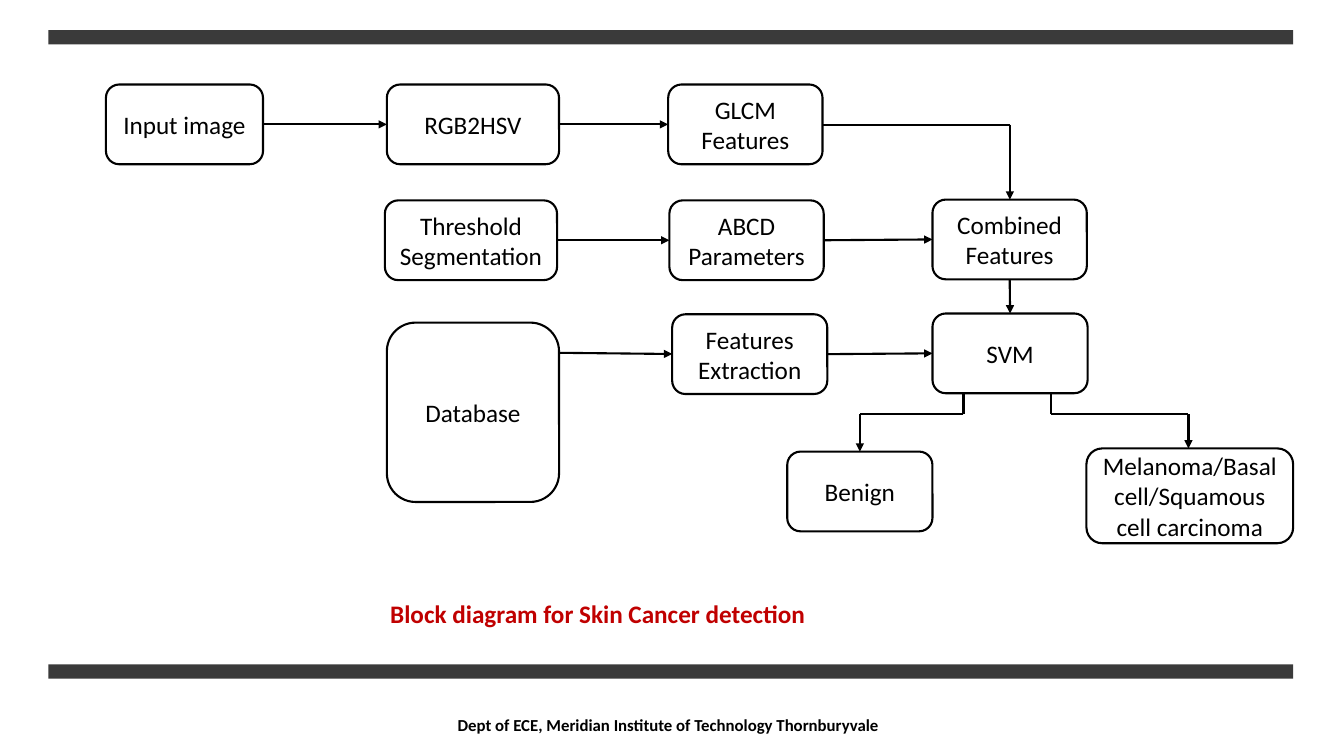
from lxml import etree
from pptx import Presentation
from pptx.dml.color import RGBColor
from pptx.enum.shapes import MSO_CONNECTOR, MSO_SHAPE
from pptx.enum.text import MSO_ANCHOR, PP_ALIGN
from pptx.oxml.ns import qn
from pptx.util import Cm, Pt

RECT, ROUND = MSO_SHAPE.RECTANGLE, MSO_SHAPE.ROUNDED_RECTANGLE
LINE = MSO_CONNECTOR.STRAIGHT
MIDDLE, TOP = MSO_ANCHOR.MIDDLE, MSO_ANCHOR.TOP
LEFT, CENTER = PP_ALIGN.LEFT, PP_ALIGN.CENTER
BLACK = RGBColor(0x00, 0x00, 0x00)
WHITE = RGBColor(0xFF, 0xFF, 0xFF)
GRAY = RGBColor(0x3A, 0x3A, 0x3A)
RED = RGBColor(0xC0, 0x00, 0x00)

# Connection sites of a box
UP, WEST, DOWN, EAST = range(4)


class Deck:
    font = "Calibri"
    size = Pt(18)
    width = Pt(1.5)

    def __init__(self):
        self.show = Presentation()
        self.show.slide_width, self.show.slide_height = Cm(33.87), Cm(19.05)
        self.slide = self.show.slides.add_slide(self.show.slide_layouts[5])
        self.shapes = self.slide.shapes

    def label(self, shape, lines, color=BLACK, size=None, bold=False,
              align=CENTER, anchor=MIDDLE):
        frame = shape.text_frame
        frame.word_wrap = True
        frame.vertical_anchor = anchor
        for i, line in enumerate(lines):
            para = frame.add_paragraph() if i else frame.paragraphs[0]
            para.alignment = align
            run = para.add_run()
            run.text = line
            run.font.name = self.font
            run.font.size = size or self.size
            run.font.bold = bold
            run.font.color.rgb = color

    def title(self, text, x, y, w, h):
        shape = self.shapes.title
        shape.left, shape.top, shape.width, shape.height = map(Cm, (x, y, w, h))
        self.label(shape, [text], RED, bold=True, align=LEFT, anchor=TOP)

    def note(self, text, x, y, w, h):
        shape = self.shapes.add_textbox(*map(Cm, (x, y, w, h)))
        self.label(shape, [text], size=Pt(12), bold=True)

    def bar(self, x, y, w, h):
        shape = self.shapes.add_shape(RECT, *map(Cm, (x, y, w, h)))
        shape.shadow.inherit = False
        shape.fill.solid()
        shape.fill.fore_color.rgb = GRAY
        shape.line.fill.background()

    def box(self, lines, x, y, w, h=2.01):
        shape = self.shapes.add_shape(ROUND, *map(Cm, (x, y, w, h)))
        shape.shadow.inherit = False
        shape.fill.solid()
        shape.fill.fore_color.rgb = WHITE
        shape.line.color.rgb = BLACK
        shape.line.width = self.width
        self.label(shape, lines)
        return shape

    def line(self, start, end, arrow=True):
        wire = self.shapes.add_connector(LINE, *map(Cm, start + end))
        wire.line.color.rgb = BLACK
        wire.line.width = self.width
        props = wire._element.spPr
        if arrow:
            tip = etree.SubElement(props.find(qn("a:ln")), qn("a:tailEnd"))
            tip.set("type", "triangle")
        etree.SubElement(props, qn("a:effectLst"))
        return wire

    def link(self, a, b, out=EAST, into=WEST):
        wire = self.line((0, 0), (0, 0))
        wire.begin_connect(a, out)
        wire.end_connect(b, into)

    def route(self, *points):
        last = len(points) - 2
        for i, (start, end) in enumerate(zip(points, points[1:])):
            self.line(start, end, arrow=i == last)


def main():
    deck = Deck()

    # Bars, title and footer
    for y in (0.76, 16.74):
        deck.bar(1.22, y, 31.37, 0.36)
    deck.title("Block diagram for Skin Cancer detection", 9.58, 14.96, 11.76, 1.02)
    deck.note("Dept of ECE, Meridian Institute of Technology Thornburyvale",
              11.13, 17.75, 11.43, 1.02)

    # Result boxes
    deck.box(["Benign"], 19.84, 11.38, 3.66)
    deck.box(["Melanoma/Basal cell/Squamous cell carcinoma"],
             27.38, 11.3, 5.21, 2.39)

    # Process boxes, row by row
    image = deck.box(["Input image"], 2.67, 2.13, 3.96)
    color = deck.box(["RGB2HSV"], 9.75, 2.13, 4.34)
    glcm = deck.box(["GLCM", "Features"], 16.84, 2.13, 3.89)
    thresh = deck.box(["Threshold Segmentation"], 9.7, 5.05, 4.34)
    abcd = deck.box(["ABCD", "Parameters"], 16.87, 5.05, 3.89)
    merge = deck.box(["Combined Features"], 23.5, 5.03, 3.89)
    deck.box(["Database"], 9.75, 8.13, 4.34, 4.52)
    traits = deck.box(["Features", "Extraction"], 16.94, 7.92, 3.91)
    svm = deck.box(["SVM"], 23.5, 7.9, 3.91)

    # Straight arrows between boxes
    for a, b in ((image, color), (color, glcm), (thresh, abcd),
                 (abcd, merge), (traits, svm)):
        deck.link(a, b)
    deck.link(merge, svm, DOWN, UP)
    deck.line((14.09, 8.89), (16.94, 8.92))

    # Bent arrows
    deck.route((20.73, 3.14), (25.45, 3.14), (25.45, 5.03))
    deck.route((24.28, 9.91), (24.28, 10.44), (21.67, 10.44), (21.67, 11.38))
    deck.route((26.49, 9.91), (26.49, 10.44), (29.95, 10.44), (29.95, 11.3))

    deck.show.save("out.pptx")


if __name__ == "__main__":
    main()
